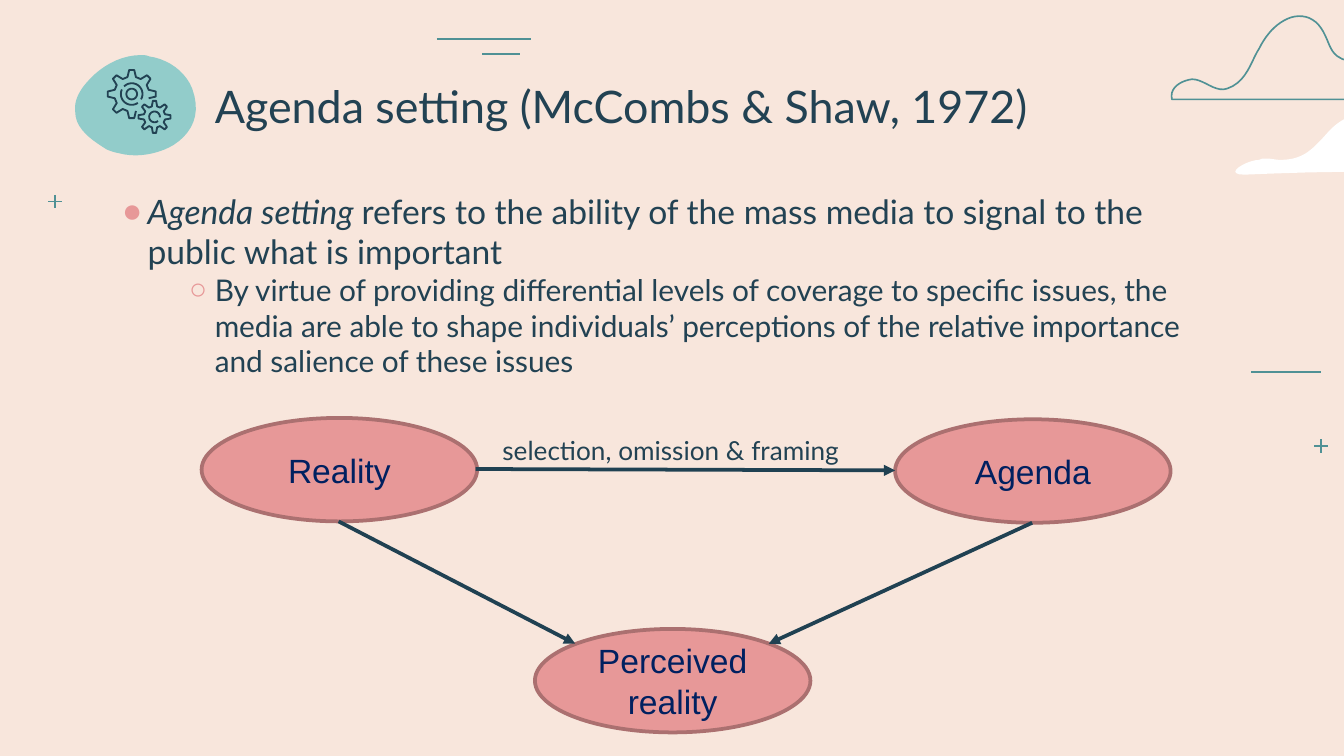
from math import cos, pi, sin

from lxml import etree
from pptx import Presentation
from pptx.dml.color import RGBColor
from pptx.enum.shapes import MSO_CONNECTOR, MSO_SHAPE
from pptx.enum.text import MSO_ANCHOR, PP_ALIGN
from pptx.oxml.ns import qn
from pptx.util import Inches, Pt

STRAIGHT = MSO_CONNECTOR.STRAIGHT
OVAL = MSO_SHAPE.OVAL
TOP, MIDDLE = MSO_ANCHOR.TOP, MSO_ANCHOR.MIDDLE
CENTER = PP_ALIGN.CENTER

CREAM, WHITE, TEAL, MINT = "F8E6DC", "FFFFFF", "509195", "92CCCA"
INK, ARROW, PINK, ROSE, NAVY = "224253", "204152", "E79898", "AB7070", "002060"

# Each outline is a start point and Bezier curves (control, control, end), relative to its box.
WHITE_CLOUD = ((.96, 0), [
    ((.96, 0), (.95, 0), (.95, 0)), ((.87, .03), (.81, .09), (.76, .15)),
    ((.71, .2), (.66, .26), (.59, .29)), ((.55, .31), (.49, .32), (.44, .32)),
    ((.4, .32), (.37, .31), (.33, .31)), ((.31, .31), (.3, .31), (.28, .32)),
    ((.19, .32), (0, .43), (.17, .43)), ((.43, .42), (.67, .41), (.91, .41)),
    ((.93, .41), (.95, .41), (.96, .42))])
LINE_CLOUD = ((1.98, .64), [
    ((1.98, .55), (1.81, .58), (1.72, .58)), ((1.69, .58), (1.65, .58), (1.63, .54)),
    ((1.61, .5), (1.63, .45), (1.63, .41)), ((1.62, .32), (1.53, .29), (1.47, .31)),
    ((1.4, .33), (1.33, .37), (1.27, .33)), ((1.19, .29), (1.19, .2), (1.13, .11)),
    ((1.07, .02), (.97, 0), (.88, .04)), ((.79, .08), (.72, .16), (.67, .26)),
    ((.61, .35), (.58, .51), (.43, .56)), ((.34, .59), (.26, .49), (.17, .49)),
    ((.09, .5), (0, .55), (.02, .64))])
BLOB = ((.38, .74), [
    ((.5, .76), (.64, .73), (.74, .67)), ((.88, .58), (.95, .44), (.88, .25)),
    ((.83, .12), (.7, .03), (.56, .01)), ((.54, 0), (.52, 0), (.5, 0)),
    ((.34, 0), (.19, .09), (.09, .21)), ((.04, .27), (0, .34), (.01, .42)),
    ((.01, .55), (.13, .63), (.24, .7)), ((.28, .72), (.33, .73), (.38, .74))])


def color(hex_value):
    return RGBColor.from_string(hex_value)


def paint(shape, fill=None, line=None, width=1):
    shape.shadow.inherit = False
    if fill:
        shape.fill.solid()
        shape.fill.fore_color.rgb = color(fill)
    else:
        shape.fill.background()
    if line:
        shape.line.color.rgb = color(line)
        shape.line.width = Pt(width)
    else:
        shape.line.fill.background()


def add_outline(slide, points, closed=True, **look):
    corners = [(Inches(x), Inches(y)) for x, y in points]
    builder = slide.shapes.build_freeform(*corners[0])
    builder.add_line_segments(corners[1:], close=closed)
    paint(builder.convert_to_shape(), **look)


def add_curved_outline(slide, left, top, outline, steps=10, **look):
    start, curves = outline
    points = [start]
    for c1, c2, end in curves:
        begin = points[-1]
        for step in range(1, steps + 1):
            t = step / steps
            u = 1 - t
            points.append(tuple(
                u**3 * a + 3 * u * u * t * b + 3 * u * t * t * c + t**3 * d
                for a, b, c, d in zip(begin, c1, c2, end)))
    add_outline(slide, [(left + x, top + y) for x, y in points], **look)


def add_line(slide, start, end, line_color, width, arrow=False):
    line = slide.shapes.add_connector(
        STRAIGHT, *[Inches(value) for value in (*start, *end)])
    line.line.color.rgb = color(line_color)
    line.line.width = Pt(width)
    properties = line._element.spPr
    if arrow:
        etree.SubElement(properties.find(qn("a:ln")), qn("a:tailEnd"), type="triangle")
    etree.SubElement(properties, qn("a:effectLst"))


def polar(center, radius, degrees):
    angle = degrees * pi / 180
    return center[0] + radius * cos(angle), center[1] + radius * sin(angle)


def add_arc(slide, center, radius, start, end):
    points = [polar(center, radius, start + (end - start) * i / 24) for i in range(25)]
    add_outline(slide, points, closed=False, line=INK)


def add_gear(slide, center, root, tip, first_tooth, teeth, closed):
    """Draw the rim of an eight-tooth gear, with the given number of teeth shown."""
    points = [
        polar(center, radius, (first_tooth + tooth) * 45 + offset)
        for tooth in range(teeth)
        for radius, offset in ((root, -14), (tip, -6), (tip, 6), (root, 14))]
    add_outline(slide, points, closed=closed, line=INK)


def add_gear_icon(slide, left, top):
    add_curved_outline(slide, left, top, BLOB, fill=MINT)
    large = (left + .43, top + .29)
    small = (left + .6, top + .46)
    add_gear(slide, large, .13, .18, first_tooth=2, teeth=7, closed=False)
    add_gear(slide, small, .08, .12, first_tooth=0, teeth=8, closed=True)
    add_arc(slide, large, .04, 0, 360)
    add_arc(slide, large, .08, 55, 205)
    add_arc(slide, large, .08, 225, 390)
    add_arc(slide, small, .04, 50, 365)


def add_plus(slide, left, top, size=.1):
    middle_x, middle_y = left + size / 2, top + size / 2
    add_line(slide, (middle_x, top), (middle_x, top + size), TEAL, .88)
    add_line(slide, (left, middle_y), (left + size, middle_y), TEAL, .88)


def add_decoration(slide):
    add_curved_outline(slide, 9.09, .87, WHITE_CLOUD, fill=WHITE)
    add_curved_outline(slide, 8.7, .1, LINE_CLOUD, line=TEAL, width=.88)
    for left, top, length in ((3.25, .29, .7), (3.59, .4, .28), (9.31, 2.77, .52)):
        add_line(slide, (left, top), (left + length, top), TEAL, 1.32)
    add_plus(slide, 9.78, 3.27)
    add_plus(slide, .36, 1.45)


def add_run(paragraph, text, **font):
    run = paragraph.add_run()
    run.text = text
    run.font.color.rgb = color(font.pop("rgb", INK))
    for attribute, value in {"name": "Lato", **font}.items():
        setattr(run.font, attribute, value)


def add_text_frame(slide, left, top, width, height):
    box = slide.shapes.add_textbox(*map(Inches, (left, top, width, height)))
    frame = box.text_frame
    layout = {"word_wrap": True, "vertical_anchor": TOP}
    layout.update({f"margin_{side}": Inches(.1)
                   for side in ("left", "top", "right", "bottom")})
    for attribute, value in layout.items():
        setattr(frame, attribute, value)
    return frame


def add_title(slide, *box):
    paragraph = add_text_frame(slide, *box).paragraphs[0]
    paragraph.line_spacing = .8
    add_run(paragraph, "Agenda setting (McCombs & Shaw, 1972)", size=Pt(24))


def set_bullet(paragraph, character, indent):
    properties = paragraph._p.get_or_add_pPr()
    properties.set("marL", str(Inches(indent)))
    properties.set("indent", str(-Inches(.19)))
    bullet_color = etree.SubElement(properties, qn("a:buClr"))
    etree.SubElement(bullet_color, qn("a:srgbClr"), val=PINK)
    etree.SubElement(properties, qn("a:buFont"), typeface="Arial")
    etree.SubElement(properties, qn("a:buChar"), char=character)


def add_definition(slide, *box):
    frame = add_text_frame(slide, *box)
    definition = frame.paragraphs[0]
    set_bullet(definition, "●", .19)
    add_run(definition, "Agenda setting ", size=Pt(18), italic=True)
    add_run(definition, "refers to the ability of the mass media to signal to the "
            "public what is important", size=Pt(18))
    explanation = frame.add_paragraph()
    explanation.level = 1
    set_bullet(explanation, "○", .69)
    add_run(explanation, "By virtue of providing differential levels of coverage to "
            "specific issues, the media are able to shape individuals’ perceptions of "
            "the relative importance and salience of these issues", size=Pt(16))


def add_diagram(slide, left, top):
    node_width, node_height = 2.05, .77
    for label, x, y in (("Reality", 0, 0), ("Agenda", 5.16, .01),
                        ("Perceived reality", 2.48, 1.57)):
        node = slide.shapes.add_shape(
            OVAL, *map(Inches, (left + x, top + y, node_width, node_height)))
        paint(node, fill=PINK, line=ROSE, width=2)
        node.text_frame.word_wrap = True
        node.text_frame.vertical_anchor = MIDDLE
        paragraph = node.text_frame.paragraphs[0]
        paragraph.alignment = CENTER
        add_run(paragraph, label, name="Arial", size=Pt(18), rgb=NAVY)
    for (x1, y1), (x2, y2) in (((2.04, .38), (5.16, .39)),
                               ((1.02, .77), (2.78, 1.68)),
                               ((6.18, .78), (4.22, 1.68))):
        add_line(slide, (left + x1, top + y1), (left + x2, top + y2),
                 ARROW, 2, arrow=True)
    caption = add_text_frame(slide, left + 2.14, top + .02, 2.97, .48)
    add_run(caption.paragraphs[0], "selection, omission & framing", size=Pt(14))


def main():
    deck = Presentation()
    deck.slide_width = Inches(10)
    deck.slide_height = deck.slide_width * 9 // 16
    slide = deck.slides.add_slide(deck.slide_layouts[6])
    slide.background.fill.solid()
    slide.background.fill.fore_color.rgb = color(CREAM)
    add_decoration(slide)
    add_title(slide, 1.5, .56, 8.07, .46)
    add_gear_icon(slide, .55, .41)
    add_definition(slide, .81, 1.32, 8.47, 1.5)
    add_diagram(slide, 1.5, 3.11)
    deck.save("out.pptx")


if __name__ == "__main__":
    main()
